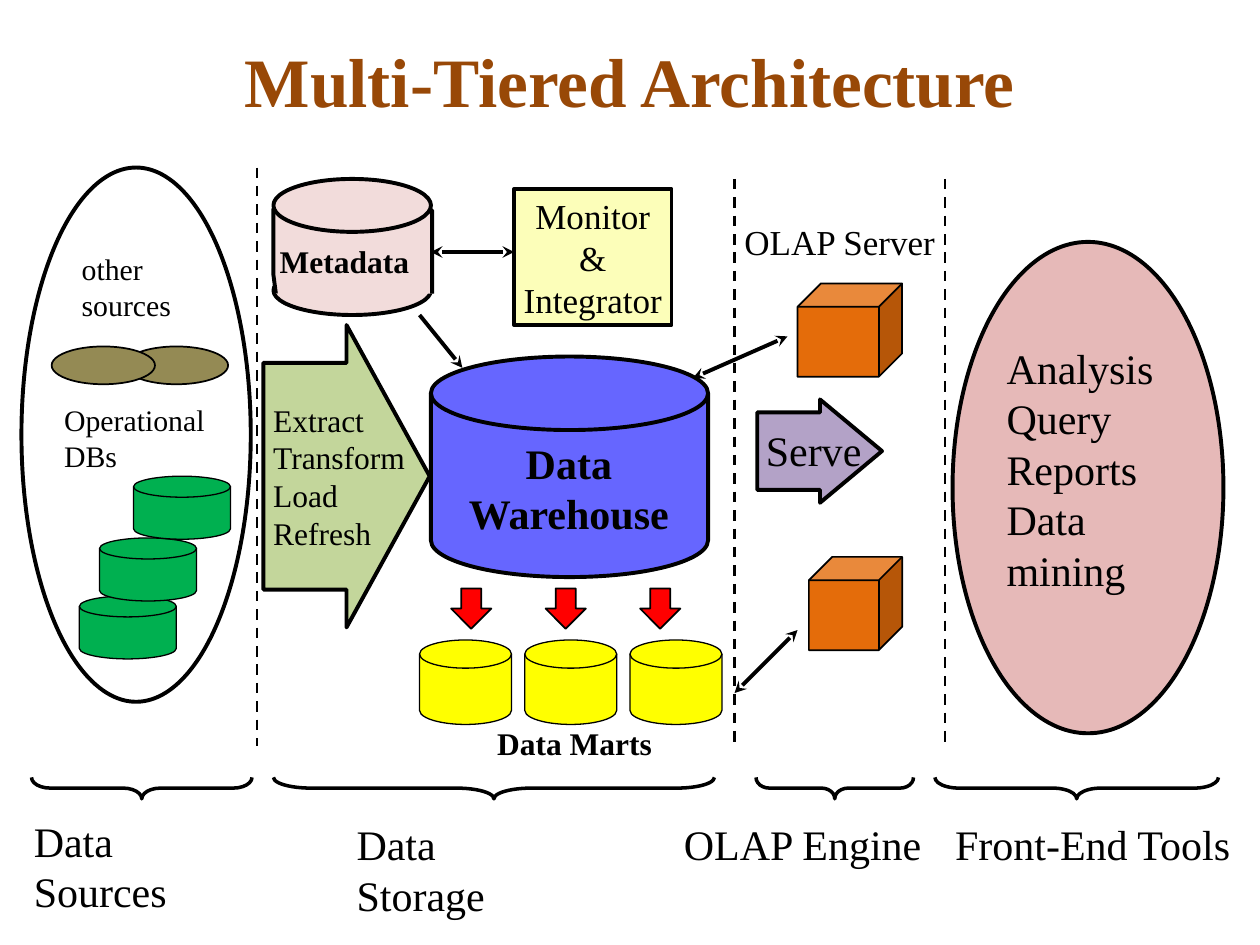
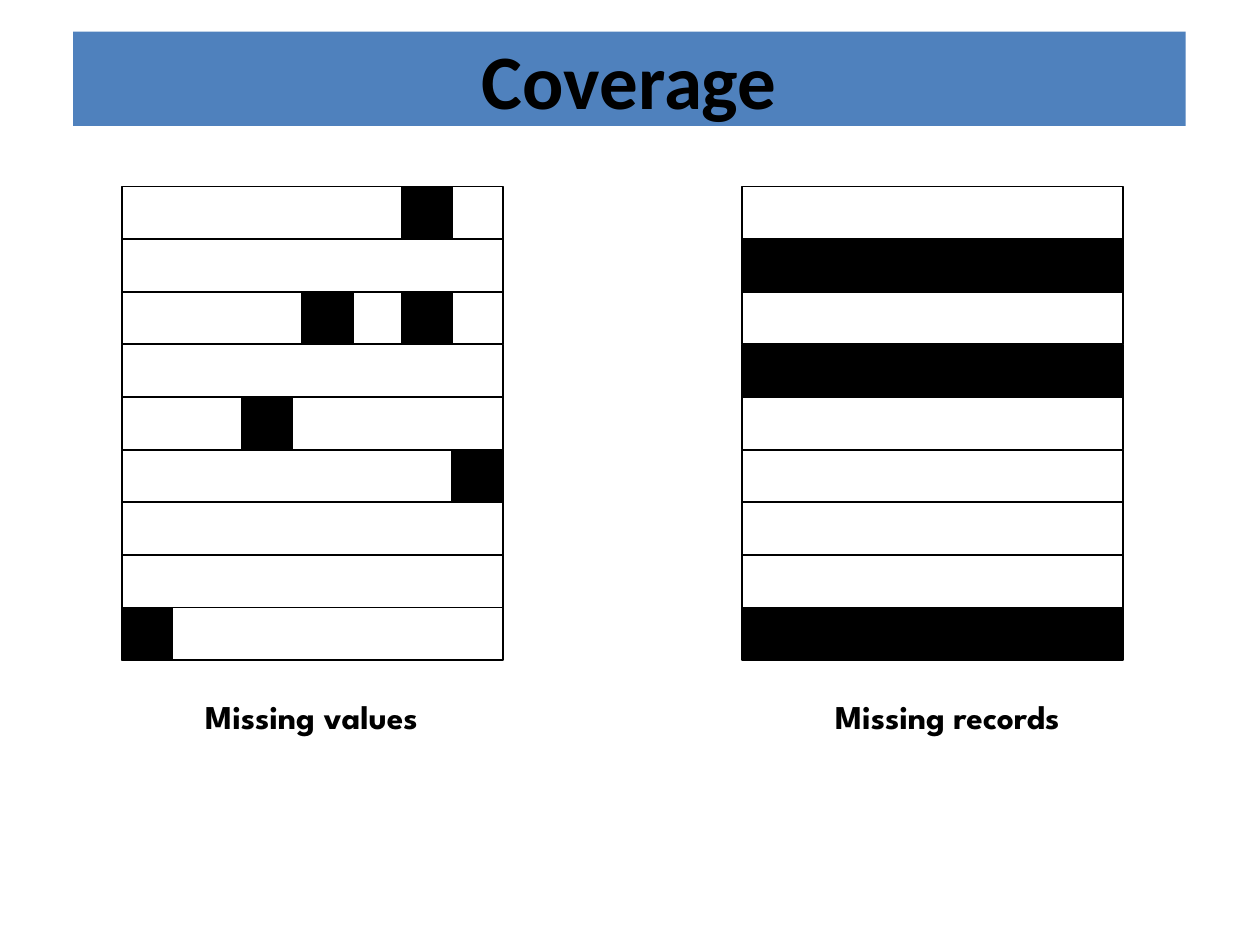
import pptx
import pptx.util
import pptx.dml.color
import pptx.enum.dml
import pptx.enum.shapes
import pptx.enum.text
from lxml import etree

Inches = pptx.util.Inches
Pt = pptx.util.Pt
SHAPE = pptx.enum.shapes.MSO_SHAPE
ALIGN = pptx.enum.text.PP_ALIGN
ANCHOR = pptx.enum.text.MSO_ANCHOR
AUTOSIZE = pptx.enum.text.MSO_AUTO_SIZE
A = "{http://schemas.openxmlformats.org/drawingml/2006/main}"

COLORS = {
    "black": "000000", "white": "FFFFFF", "brown": "984807", "band": "4F81BD",
    "warehouse": "6666FF", "tools": "E6B9B8", "serve": "B3A2C7",
    "extract": "C3D69B", "monitor": "FCFEB9", "metadata": "F2DCDB",
    "cube": "E46C0A", "red": "FF0000", "mart": "FFFF00",
    "source": "948A54", "database": "00B050",
}
SERIF = "Times New Roman"
DISK = SHAPE.FLOWCHART_MAGNETIC_DISK


def rgb(name):
    return pptx.dml.color.RGBColor.from_string(COLORS[name])


class Deck:
    """Holds the presentation, its style and the current slide."""

    def __init__(self):
        self.prs = pptx.Presentation()
        self.prs.slide_width = Inches(10)
        self.prs.slide_height = Inches(7.5)
        self.s = None

    def new_slide(self):
        self.s = self.prs.slides.add_slide(self.prs.slide_layouts[5])

    def set_text(self, tf, text, size, font=SERIF, color="black", bold=False,
                 align=ALIGN.LEFT, wrap=False, anchor=ANCHOR.TOP, inset=True):
        tf.text = text
        tf.word_wrap = wrap
        tf.auto_size = AUTOSIZE.NONE
        tf.vertical_anchor = anchor
        tf.margin_left = tf.margin_right = Inches(0.1 if inset else 0)
        tf.margin_top = tf.margin_bottom = Inches(0.05 if inset else 0)
        for p in tf.paragraphs:
            p.alignment = align
            for r in p.runs:
                r.font.name = font
                r.font.size = Pt(size)
                r.font.bold = bold
                r.font.color.rgb = rgb(color)

    def title(self, text, box, size, fill=None, **style):
        sp = self.s.shapes.title
        sp.left, sp.top, sp.width, sp.height = map(Inches, box)
        if fill:
            sp.fill.solid()
            sp.fill.fore_color.rgb = rgb(fill)
        self.set_text(sp.text_frame, text, size, bold=True,
                      align=ALIGN.CENTER, wrap=True, **style)

    def text(self, text, x, y, w, h, size, **style):
        sp = self.s.shapes.add_textbox(*map(Inches, (x, y, w, h)))
        self.set_text(sp.text_frame, text, size, **style)

    def paint(self, sp, fill, weight):
        sp.shadow.inherit = False
        if fill:
            sp.fill.solid()
            sp.fill.fore_color.rgb = rgb(fill)
        else:
            sp.fill.background()
        sp.line.color.rgb = rgb("black")
        sp.line.width = Pt(weight)

    def shape(self, kind, x, y, w, h, fill=None, weight=2.25, adj=()):
        sp = self.s.shapes.add_shape(kind, *map(Inches, (x, y, w, h)))
        self.paint(sp, fill, weight)
        for i, value in enumerate(adj):
            sp.adjustments[i] = value
        return sp

    def outline(self, points, fill):
        points = [(Inches(x), Inches(y)) for x, y in points]
        builder = self.s.shapes.build_freeform(*points[0])
        builder.add_line_segments(points[1:], close=False)
        self.paint(builder.convert_to_shape(), fill, 2.25)

    def line(self, x1, y1, x2, y2, weight=2.25, dashed=False, ends=()):
        c = self.s.shapes.add_connector(
            pptx.enum.shapes.MSO_CONNECTOR.STRAIGHT,
            *map(Inches, (x1, y1, x2, y2)))
        c.line.color.rgb = rgb("black")
        c.line.width = Pt(weight)
        if dashed:
            c.line.dash_style = pptx.enum.dml.MSO_LINE.DASH
        props = c.element.spPr
        for end in ends:
            etree.SubElement(props.find(A + "ln"), A + end, type="stealth")
        etree.SubElement(props, A + "effectLst")

    def brace(self, x, length, y=6.17, depth=0.17):
        """Brace pointing down, spanning length from x."""
        sp = self.shape(SHAPE.RIGHT_BRACE, x + (length - depth) / 2,
                        y + (depth - length) / 2, depth, length, weight=2,
                        adj=(length / 2, 0.5))
        sp.rotation = 90

    def records(self, x, black_rows=(), black_cells=()):
        """Stack of nine record rows; black_cells holds (row, left)."""
        top, row_h = 1.48, 3.76 / 9
        for i in range(9):
            self.shape(SHAPE.RECTANGLE, x, top + i * row_h, 3.02, row_h,
                       "black" if i in black_rows else "white", 1)
        for i, left in black_cells:
            self.shape(SHAPE.RECTANGLE, left, top + i * row_h, 0.4, row_h,
                       "black", 1)


deck = Deck()
BOTH = ("headEnd", "tailEnd")

# Slide 1: architecture
deck.new_slide()
deck.title("Multi-Tiered Architecture", (0.5, 0.3, 9, 1.25), 39.6,
           color="brown", inset=False)

# Data sources
deck.shape(SHAPE.OVAL, 0.99, 2.75, 0.82, 0.3, "source", 1)
deck.shape(SHAPE.OVAL, 0.17, 1.33, 1.82, 4.24)
deck.shape(SHAPE.OVAL, 0.41, 2.75, 0.82, 0.3, "source", 1)
deck.text("other\nsources", 0.55, 1.94, 1.2, 0.67, 17)
deck.text("Operational\nDBs", 0.41, 3.14, 1.39, 0.67, 17)
for x, y in ((0.63, 4.73), (0.79, 4.27), (1.06, 3.78)):
    deck.shape(DISK, x, y, 0.77, 0.5, "database", 0.75)

# Extract arrow and warehouse
deck.shape(SHAPE.RIGHT_ARROW, 2.09, 2.58, 1.32, 2.4, "extract",
           adj=(0.75, 0.5))
deck.text("Extract\nTransform\nLoad\nRefresh", 2.07, 3.13, 1.26, 1.3, 18)
deck.shape(DISK, 3.42, 2.83, 2.2, 1.75, "warehouse")
deck.text("Data\nWarehouse", 3.61, 3.42, 1.81, 0.91, 24, bold=True,
          align=ALIGN.CENTER)

# Metadata drum and monitor
deck.shape(SHAPE.OVAL, 2.17, 2.11, 1.25, 0.39, "metadata")
deck.outline([(2.19, 2.33), (2.17, 2.18), (2.17, 1.66), (3.43, 1.67),
              (3.43, 2.33)], "metadata")
deck.shape(SHAPE.OVAL, 2.17, 1.42, 1.25, 0.42, "metadata")
deck.text("Metadata", 2.22, 1.92, 1.22, 0.3, 18, bold=True, inset=False)
sp = deck.shape(SHAPE.RECTANGLE, 4.08, 1.5, 1.25, 1.08, "monitor")
deck.set_text(sp.text_frame, "Monitor\n&\nIntegrator", 20,
              align=ALIGN.CENTER, anchor=ANCHOR.MIDDLE)

# Data marts
for i in range(3):
    deck.shape(SHAPE.DOWN_ARROW, 3.58 + 0.75 * i, 4.67, 0.32, 0.32, "red", 1)
    deck.shape(DISK, 3.33 + 0.835 * i, 5.08, 0.73, 0.67, "mart", 0.75)
deck.text("Data Marts", 3.94, 5.75, 1.24, 0.3, 18, bold=True,
          align=ALIGN.CENTER, inset=False)

# OLAP engine
deck.text("OLAP Server", 5.83, 1.75, 1.67, 0.33, 20, align=ALIGN.CENTER,
          inset=False)
deck.shape(SHAPE.CUBE, 6.33, 2.25, 0.83, 0.74, "cube", 1)
deck.shape(SHAPE.CUBE, 6.42, 4.42, 0.74, 0.74, "cube", 1)
deck.shape(SHAPE.RIGHT_ARROW, 6.01, 3.17, 0.99, 0.82, "serve",
           adj=(0.75, 0.6))
deck.text("Serve", 5.98, 3.32, 0.96, 0.5, 24)

# Front-end tools
deck.shape(SHAPE.OVAL, 7.56, 1.92, 2.15, 3.9, "tools")
deck.text("Analysis\nQuery\nReports\nData mining", 7.89, 2.67, 1.6, 1.7, 24,
          wrap=True)

# Arrows and tier dividers
deck.line(3.42, 2, 4.08, 2, ends=BOTH)
deck.line(5.5, 3, 6.25, 2.67, ends=BOTH)
deck.line(5.83, 5.5, 6.33, 5, ends=BOTH)
deck.line(3.33, 2.5, 3.67, 2.92, ends=("tailEnd",))
for x, top in ((2.04, 1.33), (5.83, 1.42), (7.5, 1.42)):
    deck.line(x, top, x, 5.92, weight=1.5, dashed=True)

# Tier braces and names
for x, length in ((0.25, 1.75), (2.17, 3.5), (6, 1.25), (7.42, 2.25)):
    deck.brace(x, length)
deck.text("Data Sources", 0.17, 6.42, 1.6, 0.5, 24, wrap=True)
deck.text("Data Storage", 2.83, 6.5, 1.3, 0.4, 24, wrap=True, inset=False)
deck.text("OLAP Engine", 5.33, 6.5, 2.08, 0.4, 24, align=ALIGN.CENTER,
          inset=False)
deck.text("Front-End Tools", 7.58, 6.5, 2.21, 0.4, 24, inset=False)

# Slide 2: coverage
deck.new_slide()
deck.title("Coverage", (0.58, 0.25, 8.83, 0.75), 44, fill="band",
           font="Calibri", anchor=ANCHOR.MIDDLE)
deck.records(0.97, black_cells=((0, 3.19), (2, 3.19), (2, 2.4), (4, 1.92),
                                (5, 3.59), (8, 0.97)))
deck.records(5.89, black_rows=(1, 3, 8))
for caption, x, w in (("Missing values", 1.53, 2.05),
                      ("Missing records", 6.53, 2.17)):
    deck.text(caption, x, 5.48, w, 0.42, 19, font="League Spartan", bold=True)

deck.prs.save("out.pptx")
